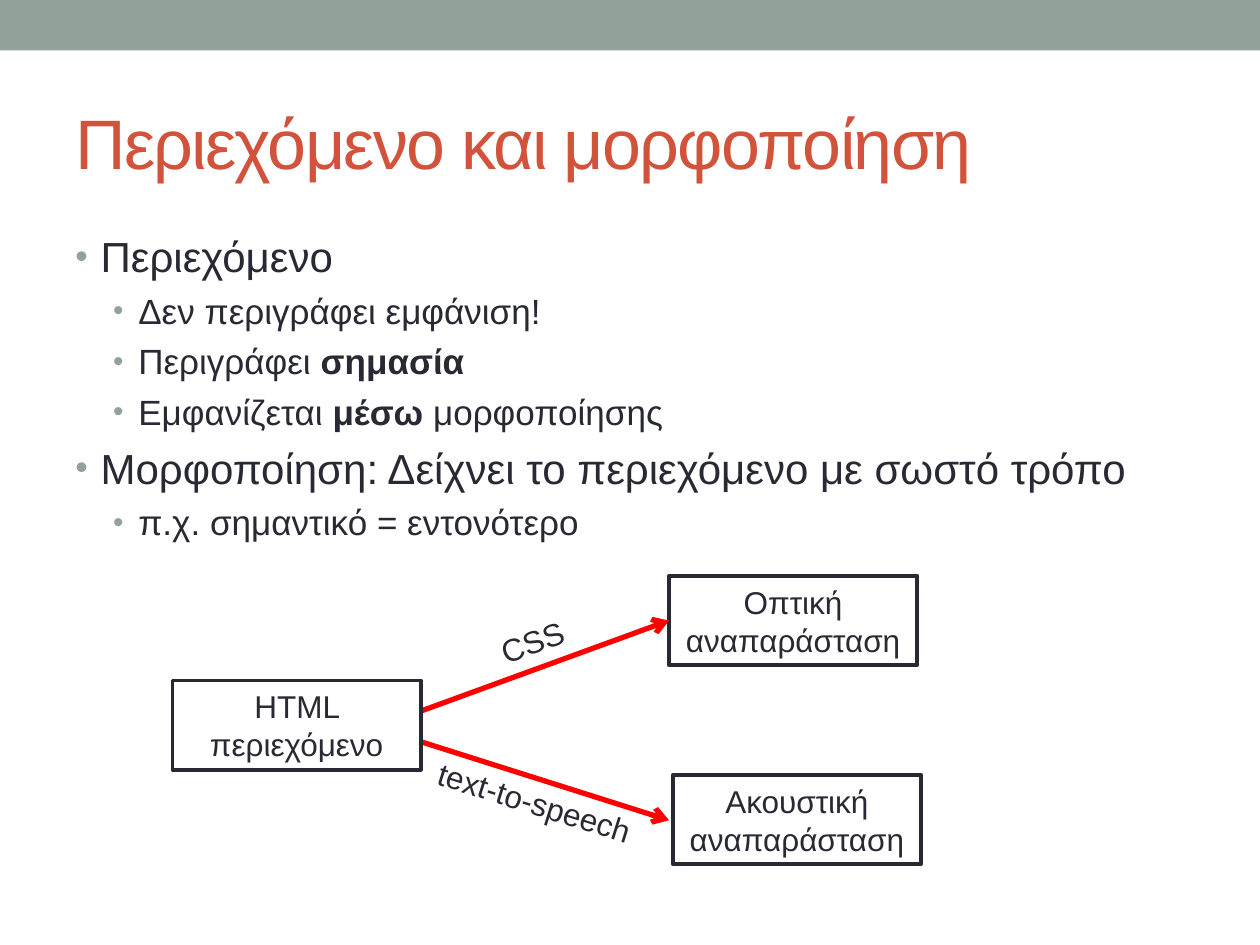
from lxml import etree
from pptx import Presentation
from pptx.dml.color import RGBColor
from pptx.enum.shapes import MSO_CONNECTOR, MSO_SHAPE
from pptx.enum.text import MSO_ANCHOR, MSO_AUTO_SIZE, PP_ALIGN
from pptx.oxml.ns import qn
from pptx.util import Inches, Pt

RECTANGLE = MSO_SHAPE.RECTANGLE
STRAIGHT = MSO_CONNECTOR.STRAIGHT
TOP, MIDDLE = MSO_ANCHOR.TOP, MSO_ANCHOR.MIDDLE
GROW = MSO_AUTO_SIZE.SHAPE_TO_FIT_TEXT
LEFT, CENTER = PP_ALIGN.LEFT, PP_ALIGN.CENTER

INK = RGBColor(0x29, 0x29, 0x34)
SAGE = RGBColor(0x93, 0xA2, 0x99)
RUST = RGBColor(0xD2, 0x53, 0x3C)
RED = RGBColor(0xFF, 0x00, 0x00)
WHITE = RGBColor(0xFF, 0xFF, 0xFF)

COLUMNS, ROWS = 100, 75
NODE_SIZE = (19.7, 7.1)
LEVEL_SIZES = (24, 20)
LEVEL_INDENTS = (0.2, 0.5)

OUTLINE = [
    (0, ["Περιεχόμενο"]),
    (1, ["Δεν περιγράφει εμφάνιση!"]),
    (1, ["Περιγράφει ", "σημασία"]),
    (1, ["Εμφανίζεται ", "μέσω", " μορφοποίησης"]),
    (0, ["Μορφοποίηση: Δείχνει το περιεχόμενο με σωστό τρόπο"]),
    (1, ["π.χ. σημαντικό = εντονότερο"]),
]


def write(para, text, size=18, color=INK, bold=False, spacing=None):
    span = para.add_run()
    span.text = text
    span.font.name = "Arial"
    span.font.size = Pt(size)
    span.font.bold = bold
    span.font.color.rgb = color
    if spacing is not None:
        span.font._element.set("spc", str(spacing * 100))


def add_bullet(para, indent):
    properties = para._p.get_or_add_pPr()
    properties.set("marL", str(Inches(indent)))
    properties.set("indent", str(Inches(-0.2)))
    color = etree.SubElement(properties, qn("a:buClr"))
    etree.SubElement(color, qn("a:srgbClr"), val=str(SAGE))
    etree.SubElement(properties, qn("a:buSzPct"), val="85000")
    etree.SubElement(properties, qn("a:buFont"), typeface="Arial")
    etree.SubElement(properties, qn("a:buChar"), char="•")


class SlideBuilder:
    """Draws styled elements on one slide, placed by columns and rows."""

    def __init__(self, deck):
        self.column = deck.slide_width / COLUMNS
        self.row = deck.slide_height / ROWS
        self.page = deck.slides.add_slide(deck.slide_layouts[6])

    def place(self, column, row):
        return round(column * self.column), round(row * self.row)

    def rectangle(self, at, size, fill):
        box = self.page.shapes.add_shape(RECTANGLE, *self.place(*at), *self.place(*size))
        box.shadow.inherit = False
        box.fill.solid()
        box.fill.fore_color.rgb = fill
        box.line.fill.background()
        return box

    def node(self, text, at):
        box = self.rectangle(at, NODE_SIZE, WHITE)
        box.line.color.rgb = INK
        box.line.width = Pt(2.08)
        box.text_frame.word_wrap = True
        box.text_frame.auto_size = GROW
        para = box.text_frame.paragraphs[0]
        para.alignment = CENTER
        write(para, text)
        return box

    def text_box(self, at, size, anchor=TOP):
        box = self.page.shapes.add_textbox(*self.place(*at), *self.place(*size))
        box.text_frame.word_wrap = True
        box.text_frame.vertical_anchor = anchor
        box.text_frame.paragraphs[0].alignment = LEFT
        return box

    def title(self, text, at, size):
        box = self.text_box(at, size, MIDDLE)
        write(box.text_frame.paragraphs[0], text, size=40, color=RUST, spacing=-1)

    def label(self, text, at, size, rotation):
        box = self.text_box(at, size)
        box.rotation = rotation
        box.text_frame.auto_size = GROW
        write(box.text_frame.paragraphs[0], text)

    def bullets(self, items, at, size):
        frame = self.text_box(at, size).text_frame
        frame.margin_top = Inches(0.08)
        for index, (level, spans) in enumerate(items):
            para = frame.add_paragraph() if index else frame.paragraphs[0]
            add_bullet(para, LEVEL_INDENTS[level])
            para.level = level
            text_size = LEVEL_SIZES[level]
            para.space_before = Pt(0.24 * text_size if index else 0)
            for position, text in enumerate(spans):
                write(para, text, size=text_size, bold=position % 2 == 1)

    def arrow(self, start, end, target=None):
        line = self.page.shapes.add_connector(STRAIGHT, *self.place(*start), *self.place(*end))
        if target is not None:
            line.end_connect(target, 1)
        line.line.color.rgb = RED
        line.line.width = Pt(3)
        etree.SubElement(line.line._get_or_add_ln(), qn("a:tailEnd"), type="arrow")
        etree.SubElement(line._element.spPr, qn("a:effectLst"))


def main():
    deck = Presentation()
    deck.slide_width, deck.slide_height = Inches(10), Inches(7.5)
    slide = SlideBuilder(deck)
    slide.rectangle((0, 0), (COLUMNS, 4), SAGE)
    slide.title("Περιεχόμενο και μορφοποίηση", (5, 5.8), (90, 10.8))
    slide.bullets(OUTLINE, (5, 17.5), (90, 28.7))
    slide.node("Ακουστική αναπαράσταση", (53.4, 61.5))
    visual = slide.node("Οπτική αναπαράσταση", (53.1, 45.7))
    slide.arrow((33.5, 56.4), (53.1, 49.3), target=visual)
    slide.arrow((33.5, 58.9), (53.1, 65.1))
    slide.node("HTML περιεχόμενο", (13.7, 54))
    slide.label("text-to-speech", (33.5, 61.8), (18.7, 4), 17.4)
    slide.label("CSS", (38.6, 48.4), (10.2, 4), 340.2)
    deck.save("out.pptx")


if __name__ == "__main__":
    main()
